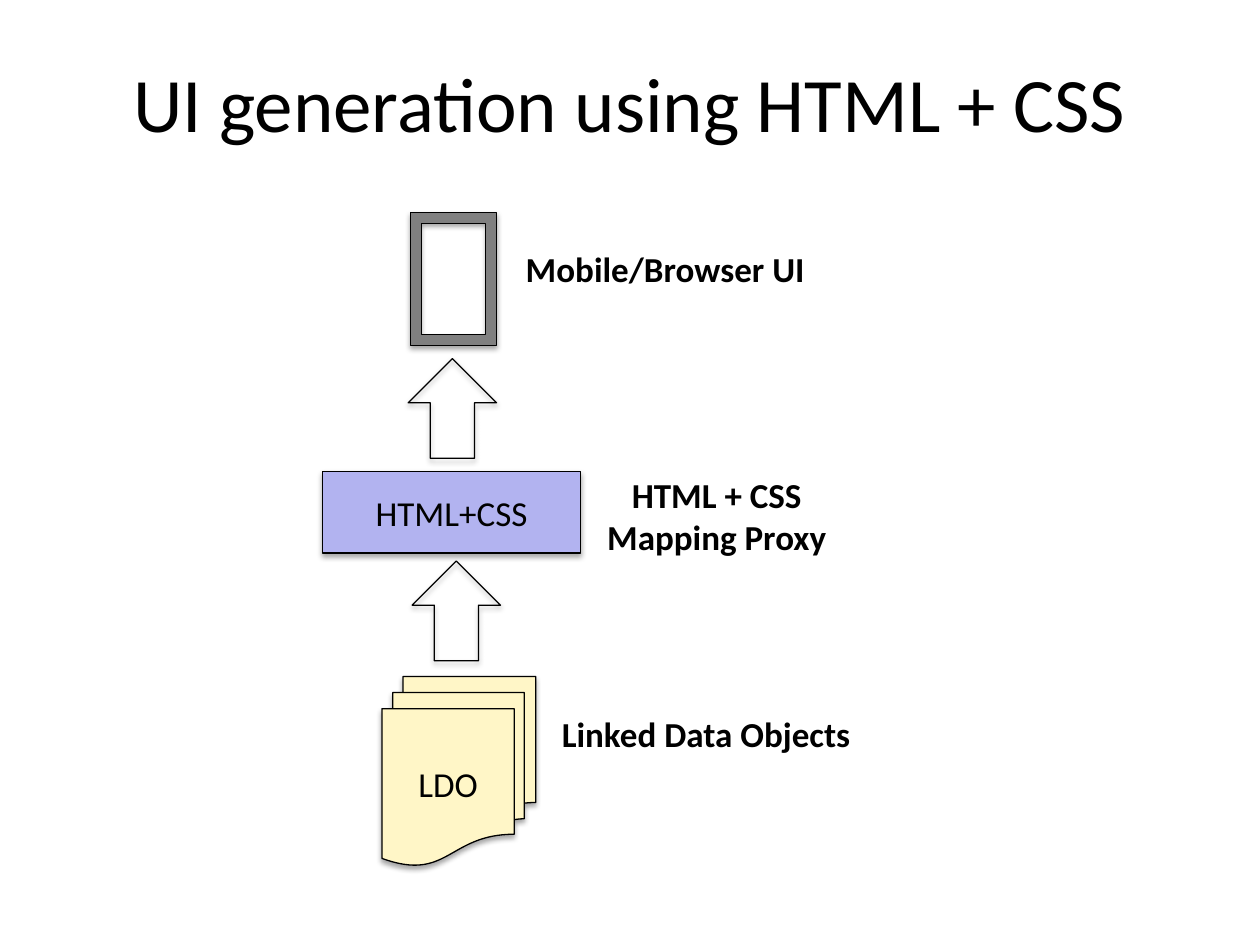
import pptx
import pptx.dml.color
import pptx.enum.shapes
import pptx.enum.text
import pptx.oxml
import pptx.oxml.ns
import pptx.util
from pptx.util import Cm

KIND = pptx.enum.shapes.MSO_SHAPE
BLACK = "000000"
TITLE = ("UI generation using HTML + CSS", (1.27, 0.46, 22.86, 3.18))
SHAPES = [
    (KIND.RECTANGLE, (6.5, 9.5, 5.21, 1.65), "B2B3F0", "HTML+CSS"),
    (KIND.FRAME, (8.28, 4.29, 1.73, 2.67), "808080", ""),
    (KIND.UP_ARROW, (8.31, 11.31, 1.78, 2.01), None, ""),
    (KIND.FLOWCHART_MULTIDOCUMENT, (7.7, 13.64, 3.1, 3.81), "FFF6C7", "LDO"),
    (KIND.UP_ARROW, (8.23, 7.23, 1.78, 2.01), None, ""),
]
LABELS = [
    ("Mobile/Browser UI", (10.31, 4.85, 6.2, 1.12), False),
    ("HTML + CSS Mapping Proxy", (11.91, 9.42, 5.08, 1.96), True),
    ("Linked Data Objects", (11.02, 14.22, 6.43, 1.12), False),
]
SHADOW = (
    '<a:outerShdw %s blurRad="39370" dist="22860" dir="5400000" rotWithShape="0">'
    '<a:srgbClr val="000000"><a:alpha val="35000"/></a:srgbClr></a:outerShdw>'
    % pptx.oxml.ns.nsdecls("a")
)


def color(value):
    return pptx.dml.color.RGBColor.from_string(value)


def write(box, text, size, bold=False, wrap=True):
    frame = box.text_frame
    frame.text = text
    frame.word_wrap = wrap
    frame.vertical_anchor = pptx.enum.text.MSO_ANCHOR.MIDDLE
    para = frame.paragraphs[0]
    para.alignment = pptx.enum.text.PP_ALIGN.CENTER
    for span in para.runs:
        span.font.name = "Calibri"
        span.font.size = pptx.util.Pt(size)
        span.font.bold = bold
        span.font.color.rgb = color(BLACK)


def add_shape(page, kind, place, fill, text):
    shape = page.shapes.add_shape(kind, *map(Cm, place))
    if fill:
        shape.fill.solid()
        shape.fill.fore_color.rgb = color(fill)
    else:
        shape.fill.background()
    shape.line.color.rgb = color(BLACK)
    shape.line.width = pptx.util.Pt(0.75)
    shape.shadow.inherit = False
    effects = shape._element.spPr.find(pptx.oxml.ns.qn("a:effectLst"))
    effects.append(pptx.oxml.parse_xml(SHADOW))
    if text:
        write(shape, text, 20)


def main():
    deck = pptx.Presentation()
    deck.slide_width, deck.slide_height = Cm(25.4), Cm(19.05)
    page = deck.slides.add_slide(deck.slide_layouts[6])
    text, place = TITLE
    write(page.shapes.add_textbox(*map(Cm, place)), text, 44)
    for item in SHAPES:
        add_shape(page, *item)
    for text, place, wrap in LABELS:
        write(page.shapes.add_textbox(*map(Cm, place)), text, 20, True, wrap)
    deck.save("out.pptx")


if __name__ == "__main__":
    main()
